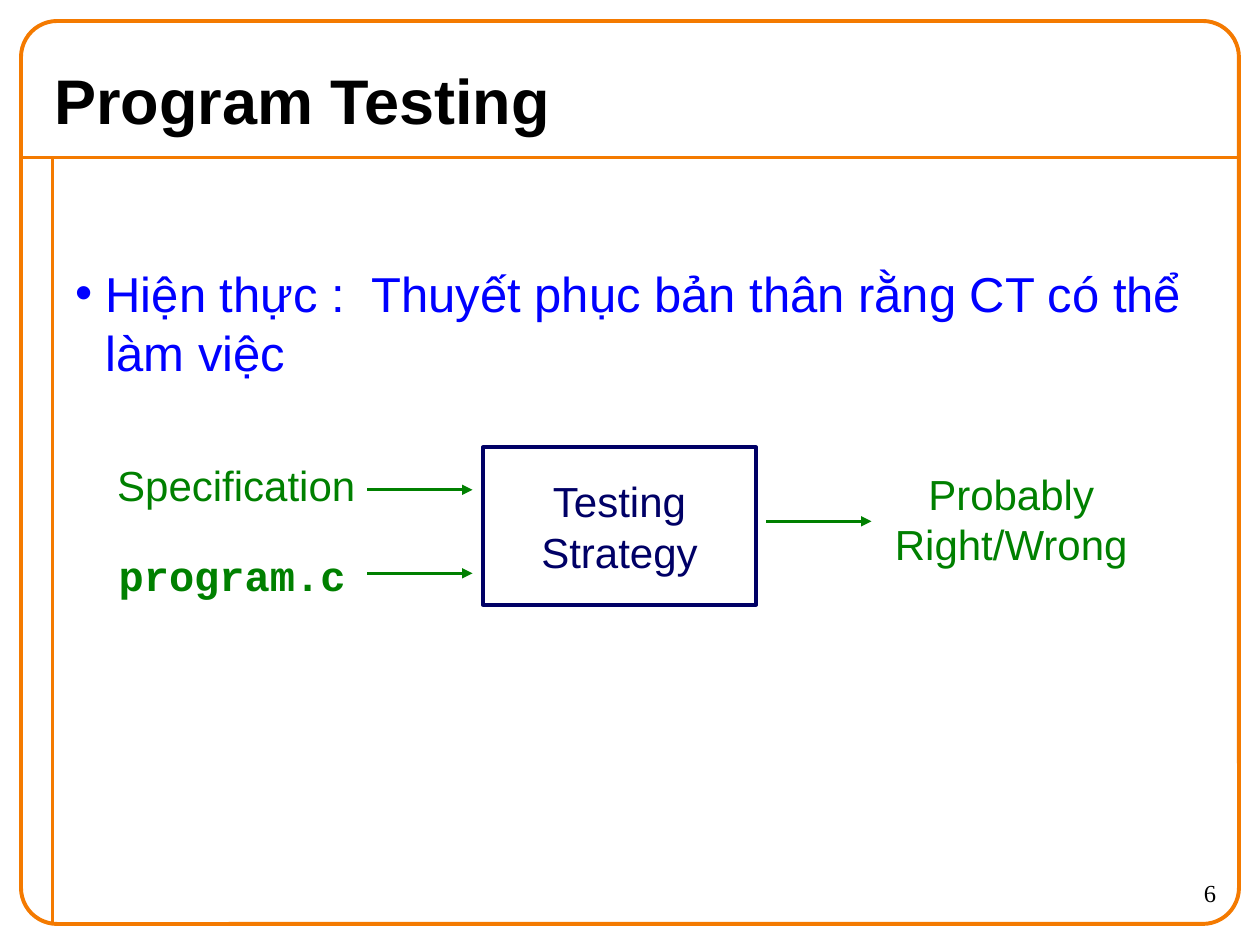
from typing import NamedTuple

from pptx import Presentation
from pptx.dml.color import RGBColor
from pptx.enum.shapes import MSO_CONNECTOR as Link, MSO_SHAPE as Kind
from pptx.enum.text import MSO_ANCHOR as Anchor, PP_ALIGN as Align
from pptx.oxml.ns import qn
from pptx.util import Inches, Pt
from lxml.etree import SubElement as Sub

ORANGE = RGBColor(0xF4, 0x7A, 0x00)
GREEN = RGBColor(0x00, 0x80, 0x00)
NAVY = RGBColor(0x00, 0x00, 0x66)
BLUE = RGBColor(0x00, 0x00, 0xFF)
BLACK = RGBColor(0x00, 0x00, 0x00)
COLS, ROWS = 120, 90
WIDE, HIGH = Inches(10), Inches(7.5)


class Box(NamedTuple):
    col: float
    row: float
    cols: float
    rows: float


class Label(NamedTuple):
    text: str
    box: Box
    font: str = "Arial"
    bold: bool = False


class Arrow(NamedTuple):
    col: float
    row: float


LABELS = [
    Label("Specification", Box(9, 43.15, 27, 6)),
    Label("program.c", Box(8.6, 51.7, 27, 6), "Courier New", True),
    Label("Probably\nRight/Wrong", Box(82.8, 44, 27, 10.8)),
]
ARROWS = [Arrow(35, 46.65), Arrow(35, 54.6), Arrow(73, 49.65)]
SPAN = 10


def place(box: Box) -> tuple:
    x, y = WIDE / COLS, HIGH / ROWS
    return (int(box.col * x), int(box.row * y),
            int(box.cols * x), int(box.rows * y))


def write(shape, text: str, *, size=24, color=BLACK, font="Arial",
          bold=False, align=Align.LEFT, anchor=Anchor.TOP, wrap=True):
    frame = shape.text_frame
    frame.text = text
    frame.word_wrap = wrap
    frame.vertical_anchor = anchor
    for para in frame.paragraphs:
        para.alignment = align
        for run in para.runs:
            run.font.size = Pt(size)
            run.font.name = font
            run.font.bold = bold
            run.font.color.rgb = color
    return frame


def frame_box(slide, kind: Kind, box: Box, color: RGBColor):
    shape = slide.shapes.add_shape(kind, *place(box))
    shape.shadow.inherit = False
    shape.fill.background()
    shape.line.color.rgb = color
    shape.line.width = Pt(2.25)
    return shape


def rule(slide, box: Box, color: RGBColor, width: float, head=False) -> None:
    x, y, w, h = place(box)
    line = slide.shapes.add_connector(Link.STRAIGHT, x, y, x + w, y + h)
    line.line.color.rgb = color
    line.line.width = Pt(width)
    props = line._element.spPr
    if head:
        Sub(props.get_or_add_ln(), qn("a:tailEnd"), type="triangle")
    Sub(props, qn("a:effectLst"))


def bullet(para, color: RGBColor) -> None:
    props = para._p.get_or_add_pPr()
    props.set("marL", str(Inches(0.24)))
    props.set("indent", str(-Inches(0.24)))
    tint = Sub(props, qn("a:buClr"))
    Sub(tint, qn("a:srgbClr"), val=str(color))
    Sub(props, qn("a:buFont"), typeface="Arial")
    Sub(props, qn("a:buChar"), char="•")


def main() -> None:
    deck = Presentation()
    deck.slide_width, deck.slide_height = WIDE, HIGH
    slide = deck.slides.add_slide(deck.slide_layouts[6])

    def text_box(box: Box):
        return slide.shapes.add_textbox(*place(box))

    rule(slide, Box(2, 15, 116, 0), ORANGE, 2.25)
    rule(slide, Box(5, 15, 0, 73), ORANGE, 2.25)
    border = frame_box(slide, Kind.ROUNDED_RECTANGLE,
                       Box(2, 2, 116, 86), ORANGE)
    border.adjustments[0] = 0.04

    write(text_box(Box(105, 83, 12, 5)), "6", size=14,
          font="Times New Roman", align=Align.RIGHT)
    write(text_box(Box(4, 5, 112, 9)), "Program Testing", size=36,
          bold=True, anchor=Anchor.MIDDLE)
    body = write(text_box(Box(6, 24.5, 111, 12)),
                 "Hiện thực :  Thuyết phục bản thân rằng CT có thể làm việc",
                 size=28, color=BLUE)
    bullet(body.paragraphs[0], BLUE)

    stage = frame_box(slide, Kind.RECTANGLE, Box(46, 42.6, 26, 15), NAVY)
    write(stage, "Testing\vStrategy", color=NAVY, align=Align.CENTER,
          anchor=Anchor.MIDDLE, wrap=False)
    for item in LABELS:
        write(text_box(item.box), item.text, color=GREEN, font=item.font,
              bold=item.bold, align=Align.CENTER, wrap=False)
    for arrow in ARROWS:
        rule(slide, Box(arrow.col, arrow.row, SPAN, 0), GREEN, 1.5, True)

    deck.save("out.pptx")


if __name__ == "__main__":
    main()
